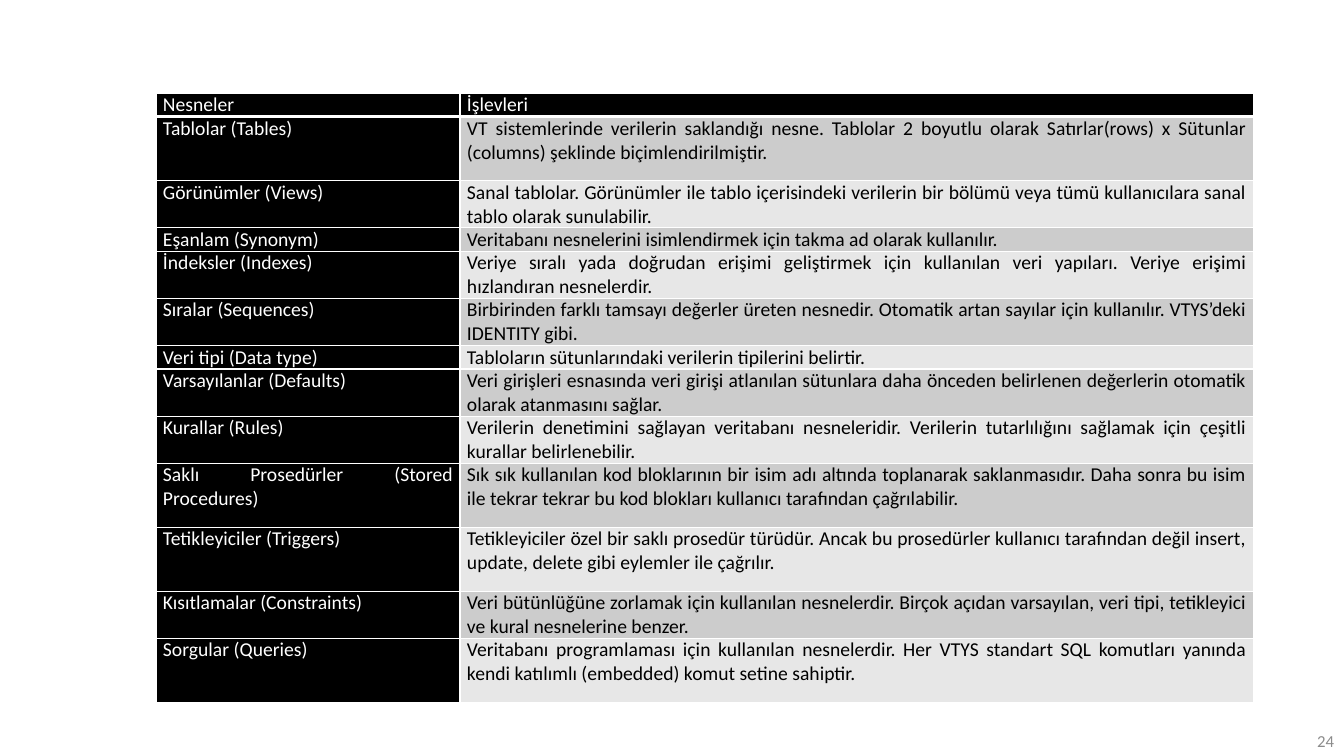
from lxml import etree
from pptx import Presentation
from pptx.dml.color import RGBColor
from pptx.enum.text import MSO_ANCHOR, PP_ALIGN
from pptx.oxml.ns import qn
from pptx.util import Pt

EMU_PER_PX = 914400 / 100.8
JUSTIFY = PP_ALIGN.JUSTIFY
RIGHT = PP_ALIGN.RIGHT
MIDDLE = MSO_ANCHOR.MIDDLE
FONT = "Calibri"
COLORS = {
    "black": "000000",
    "white": "FFFFFF",
    "dark band": "CCCCCC",
    "light band": "E7E7E7",
    "page number": "8C8C8C",
}
SHORT, MEDIUM, TALL = 23, 47, 64
OBJECTS = [
    (SHORT, "Nesneler", "İşlevleri"),
    (TALL, "Tablolar (Tables)",
     "VT sistemlerinde verilerin saklandığı nesne. Tablolar 2 boyutlu olarak "
     "Satırlar(rows) x Sütunlar (columns) şeklinde biçimlendirilmiştir."),
    (MEDIUM, "Görünümler (Views)",
     "Sanal tablolar. Görünümler ile tablo içerisindeki verilerin bir bölümü veya "
     "tümü kullanıcılara sanal tablo olarak sunulabilir."),
    (SHORT, "Eşanlam (Synonym)",
     "Veritabanı nesnelerini isimlendirmek için takma ad olarak kullanılır."),
    (MEDIUM, "İndeksler (Indexes)",
     "Veriye sıralı yada doğrudan erişimi geliştirmek için kullanılan veri yapıları. "
     "Veriye erişimi hızlandıran nesnelerdir."),
    (MEDIUM, "Sıralar (Sequences)",
     "Birbirinden farklı tamsayı değerler üreten nesnedir. Otomatik artan sayılar "
     "için kullanılır. VTYS’deki IDENTITY gibi."),
    (SHORT, "Veri tipi (Data type)",
     "Tabloların sütunlarındaki verilerin tipilerini belirtir."),
    (MEDIUM, "Varsayılanlar (Defaults)",
     "Veri girişleri esnasında veri girişi atlanılan sütunlara daha önceden "
     "belirlenen değerlerin otomatik olarak atanmasını sağlar."),
    (MEDIUM, "Kurallar (Rules)",
     "Verilerin denetimini sağlayan veritabanı nesneleridir. Verilerin tutarlılığını "
     "sağlamak için çeşitli kurallar belirlenebilir."),
    (TALL, "Saklı Prosedürler (Stored Procedures)",
     "Sık sık kullanılan kod bloklarının bir isim adı altında toplanarak saklanmasıdır. "
     "Daha sonra bu isim ile tekrar tekrar bu kod blokları kullanıcı tarafından "
     "çağrılabilir."),
    (TALL, "Tetikleyiciler (Triggers)",
     "Tetikleyiciler özel bir saklı prosedür türüdür. Ancak bu prosedürler kullanıcı "
     "tarafından değil insert, update, delete gibi eylemler ile çağrılır."),
    (MEDIUM, "Kısıtlamalar (Constraints)",
     "Veri bütünlüğüne zorlamak için kullanılan nesnelerdir. Birçok açıdan varsayılan, "
     "veri tipi, tetikleyici ve kural nesnelerine benzer."),
    (TALL, "Sorgular (Queries)",
     "Veritabanı programlaması için kullanılan nesnelerdir. Her VTYS standart SQL "
     "komutları yanında kendi katılımlı (embedded) komut setine sahiptir."),
]


def px(length):
    return round(length * EMU_PER_PX)


def add_text(frame, text, size, color, alignment):
    paragraph = frame.paragraphs[0]
    paragraph.alignment = alignment
    run = paragraph.add_run()
    run.text = text
    run.font.name = FONT
    run.font.size = Pt(size)
    run.font.bold = False
    run.font.color.rgb = RGBColor.from_string(COLORS[color])


presentation = Presentation()
presentation.slide_width = px(1344)
presentation.slide_height = px(756)
slide = presentation.slides.add_slide(presentation.slide_layouts[6])

page_number = slide.shapes.add_textbox(px(1041), px(727), px(303), px(27)).text_frame
page_number.word_wrap = True
page_number.vertical_anchor = MIDDLE
add_text(page_number, "24", 12, "page number", RIGHT)

table_height = sum(height for height, _, _ in OBJECTS)
object_table = slide.shapes.add_table(
    len(OBJECTS), 2, px(156), px(93), px(1098), px(table_height)).table
for column, width in zip(object_table.columns, (304, 794)):
    column.width = px(width)

for row_index, (height, *texts) in enumerate(OBJECTS):
    object_table.rows[row_index].height = px(height)
    for column_index, text in enumerate(texts):
        cell = object_table.cell(row_index, column_index)
        cell.margin_left = cell.margin_right = px(7)
        cell.margin_top = cell.margin_bottom = 0

        if row_index == 0 or column_index == 0:
            fill, color = "black", "white"
        else:
            fill, color = ("dark band" if row_index % 2 else "light band"), "black"
        add_text(cell.text_frame, text, 14, color, JUSTIFY)

        properties = cell._tc.get_or_add_tcPr()
        for side in ("lnL", "lnR", "lnT", "lnB"):
            points = 3 if row_index == 0 and side == "lnB" else 1
            border = etree.SubElement(properties, qn(f"a:{side}"), w=str(Pt(points)))
            border_fill = etree.SubElement(border, qn("a:solidFill"))
            etree.SubElement(border_fill, qn("a:srgbClr"), val=COLORS["white"])
        cell.fill.solid()
        cell.fill.fore_color.rgb = RGBColor.from_string(COLORS[fill])

presentation.save("out.pptx")
